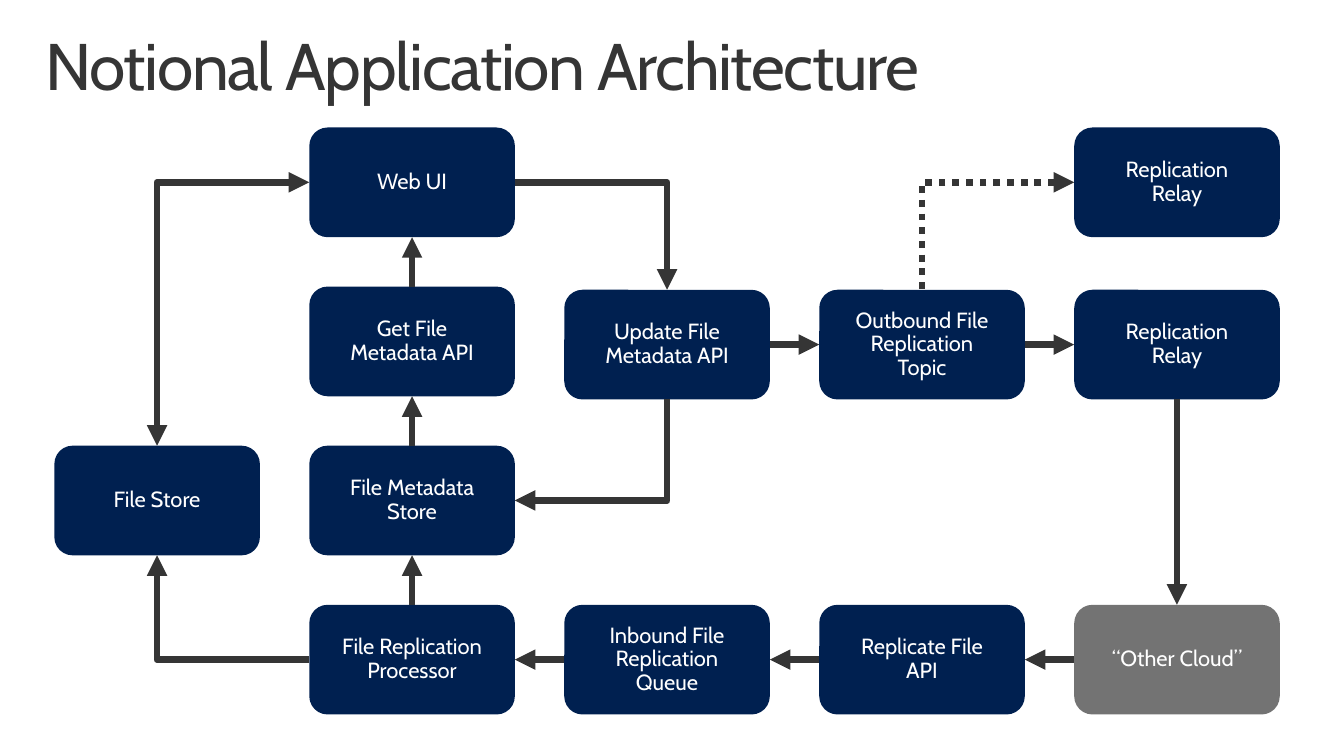
from pptx import Presentation
from pptx.dml.color import RGBColor
from pptx.enum.dml import MSO_LINE as Dash
from pptx.enum.shapes import MSO_CONNECTOR as Link, MSO_SHAPE as Preset
from pptx.enum.text import MSO_ANCHOR as Anchor, PP_ALIGN as Align
from pptx.oxml.ns import qn
from pptx.util import Inches, Pt
from lxml.etree import SubElement

NAVY = RGBColor(0x00, 0x20, 0x50)
GRAY = RGBColor(0x73, 0x73, 0x73)
CHARCOAL = RGBColor(0x35, 0x35, 0x35)
WHITE = RGBColor(0xFF, 0xFF, 0xFF)

LEFT, TOP = 0.55, 1.29
COLUMN, ROW = 2.58, 1.61
BOX_WIDTH, BOX_HEIGHT = 2.08, 1.11
UP, WEST, DOWN, EAST = range(4)


def write(shape, text, size, color, align, anchor, inset_x, inset_y, spacing=0):
    frame = shape.text_frame
    frame.word_wrap = True
    frame.vertical_anchor = anchor
    frame.margin_left = frame.margin_right = Inches(inset_x)
    frame.margin_top = frame.margin_bottom = Inches(inset_y)
    paragraph = frame.paragraphs[0]
    paragraph.alignment = align
    paragraph.line_spacing = 0.9
    run = paragraph.add_run()
    run.text = text
    run.font.name = "Cabin"
    run.font.size = Pt(size)
    run.font.color.rgb = color
    if spacing:
        run.font._element.set("spc", str(spacing * 100))


deck = Presentation()
deck.slide_width, deck.slide_height = Inches(13.6), Inches(7.65)
slide = deck.slides.add_slide(deck.slide_layouts[6])

title = slide.shapes.add_textbox(Inches(0.3), Inches(0.24), Inches(13), Inches(1))
write(title, "Notional Application Architecture", size=48, color=CHARCOAL,
      align=Align.LEFT, anchor=Anchor.TOP, inset_x=0.16, inset_y=0.1, spacing=-1)

components = {
    "web": ("Web UI", 1, 0),
    "spare relay": ("Replication Relay", 4, 0),
    "get": ("Get File Metadata API", 1, 1),
    "update": ("Update File Metadata API", 2, 1.02),
    "topic": ("Outbound File Replication Topic", 3, 1.02),
    "relay": ("Replication Relay", 4, 1.02),
    "files": ("File Store", 0, 2),
    "metadata": ("File Metadata Store", 1, 2),
    "processor": ("File Replication Processor", 1, 3),
    "queue": ("Inbound File Replication Queue", 2, 3),
    "replicate": ("Replicate File API", 3, 3),
    "cloud": ("“Other Cloud”", 4, 3),
}
boxes = {}
for key, (label, column, row) in components.items():
    box = slide.shapes.add_shape(
        Preset.ROUNDED_RECTANGLE,
        Inches(LEFT + column * COLUMN), Inches(TOP + row * ROW),
        Inches(BOX_WIDTH), Inches(BOX_HEIGHT))
    box.shadow.inherit = False
    box.fill.solid()
    box.fill.fore_color.rgb = GRAY if key == "cloud" else NAVY
    box.line.fill.background()
    write(box, label, size=16, color=WHITE, align=Align.CENTER,
          anchor=Anchor.MIDDLE, inset_x=0.2, inset_y=0.16)
    boxes[key] = box

END, START, BOTH = ("tailEnd",), ("headEnd",), ("headEnd", "tailEnd")
flows = [
    ("get", UP, "web", DOWN, END),
    ("metadata", UP, "get", DOWN, END),
    ("processor", UP, "metadata", DOWN, END),
    ("update", EAST, "topic", WEST, END),
    ("topic", EAST, "relay", WEST, END),
    ("relay", DOWN, "cloud", UP, END),
    ("cloud", WEST, "replicate", EAST, END),
    ("replicate", WEST, "queue", EAST, END),
    ("queue", WEST, "processor", EAST, END),
    ("processor", WEST, "files", DOWN, END),
    ("web", WEST, "files", UP, BOTH),
    ("web", EAST, "update", UP, END),
    ("metadata", EAST, "update", DOWN, START),
    ("spare relay", WEST, "topic", UP, START),
]
for source, exit_side, target, entry_side, arrowheads in flows:
    bent = exit_side % 2 != entry_side % 2
    flow = slide.shapes.add_connector(Link.ELBOW if bent else Link.STRAIGHT, 0, 0, 0, 0)
    flow.begin_connect(boxes[source], exit_side)
    flow.end_connect(boxes[target], entry_side)
    flow.line.color.rgb = CHARCOAL
    flow.line.width = Pt(5)
    if source == "spare relay":
        flow.line.dash_style = Dash.ROUND_DOT
    properties = flow._element.spPr
    if bent:
        properties.find(qn("a:prstGeom")).set("prst", "bentConnector2")
    outline = properties.find(qn("a:ln"))
    for arrowhead in arrowheads:
        SubElement(outline, qn("a:" + arrowhead), type="triangle")
    SubElement(properties, qn("a:effectLst"))

deck.save("out.pptx")
